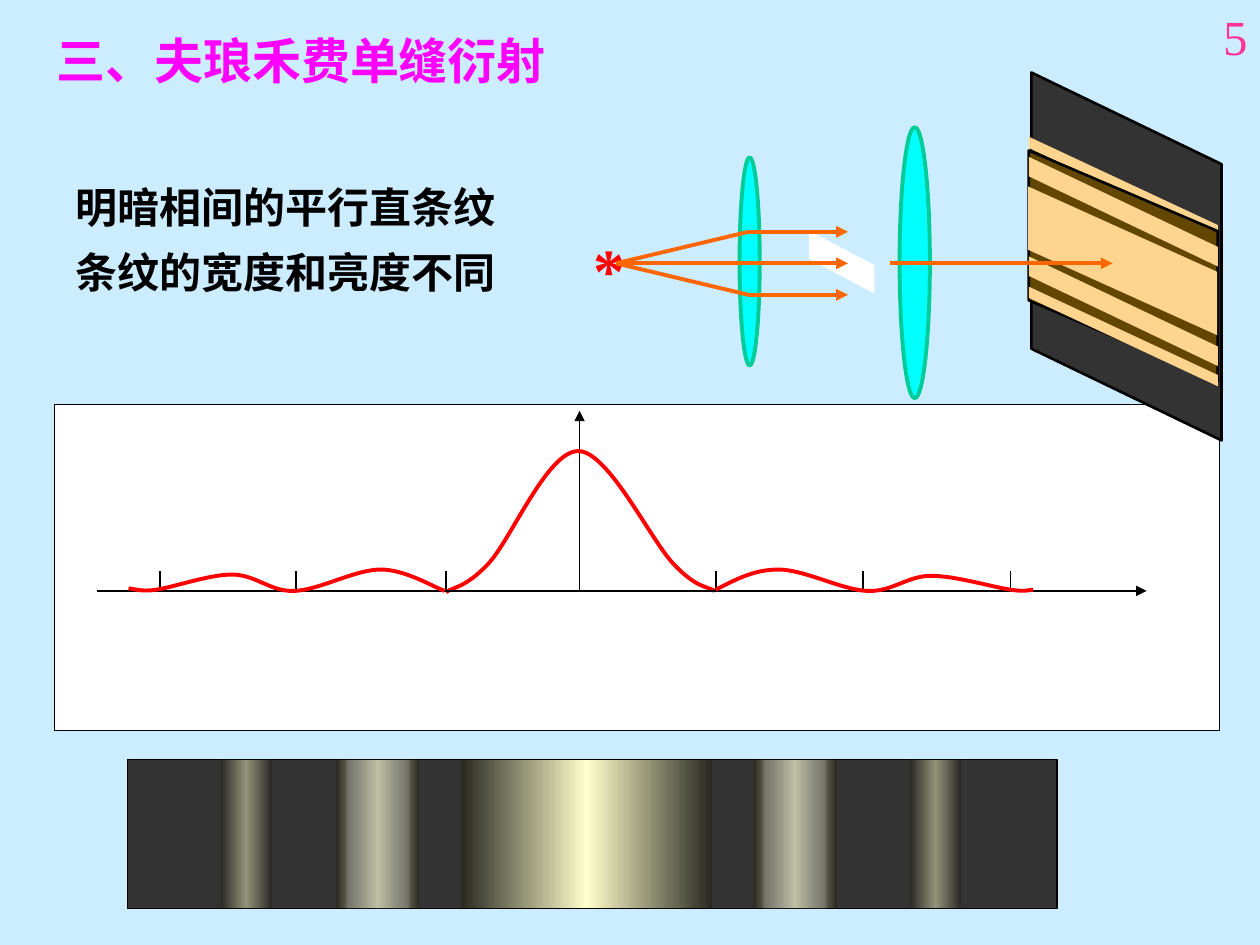
"""Build the slide on Fraunhofer single-slit diffraction."""
from copy import deepcopy
from dataclasses import dataclass

from lxml import etree
from pptx import Presentation
from pptx import util as u
from pptx.dml.color import RGBColor
from pptx.enum import shapes, text
from pptx.oxml.ns import qn

COLORS = {
    "sky": "CCECFF", "pink": "FF3399", "magenta": "FF00FF", "red": "FF0000",
    "black": "000000", "white": "FFFFFF", "slate": "333333", "shade": "292921",
    "glow": "FFFFCC", "dim": "292929", "gray": "808080", "sand": "FFD48F",
    "brown": "634701", "cyan": "00FFFF", "teal": "00CC99", "orange": "FF6600",
}
FONT = "Times New Roman"
KIND = shapes.MSO_SHAPE
AXIS_Y = 4.69
BAND_TOP, BAND_HEIGHT = 6.03, 1.18
SOURCE = (4.89, 2.09)


@dataclass
class Figure:
    kind: KIND
    left: float
    top: float
    width: float
    height: float
    fill: str
    line: str | None = None
    weight: float = 0.75
    adjust: float | None = None
    alpha: int | None = None
    glow: str | None = None


@dataclass
class Segment:
    start: tuple[float, float]
    end: tuple[float, float]
    color: str = "black"
    weight: float = 1
    arrow: bool = False


def rgb(name: str) -> RGBColor:
    return RGBColor.from_string(COLORS[name])


def draw_figure(page, figure: Figure) -> None:
    frame = (figure.left, figure.top, figure.width, figure.height)
    shape = page.shapes.add_shape(figure.kind, *map(u.Inches, frame))
    shape.shadow.inherit = False
    if figure.adjust is not None:
        shape.rotation = 90
        shape.adjustments[0] = figure.adjust
    if figure.glow:
        fill_gradient(shape, figure.fill, figure.glow)
    else:
        shape.fill.solid()
        shape.fill.fore_color.rgb = rgb(figure.fill)
    if figure.alpha is not None:
        color = shape.fill._xPr.find(qn("a:solidFill"))[0]
        etree.SubElement(color, qn("a:alpha"), val=str(figure.alpha * 1000))
    if figure.line:
        shape.line.color.rgb = rgb(figure.line)
        shape.line.width = u.Pt(figure.weight)
    else:
        shape.line.fill.background()


def fill_gradient(shape, edge: str, middle: str) -> None:
    shape.fill.gradient()
    shape.fill.gradient_angle = 0
    stops = shape._element.spPr.find(qn("a:gradFill")).find(qn("a:gsLst"))
    stops.append(deepcopy(stops[0]))
    for stop, position, color in zip(
        shape.fill.gradient_stops, (0, 0.5, 1), (edge, middle, edge)
    ):
        stop.position = position
        stop.color.rgb = rgb(color)


def draw_segment(page, segment: Segment) -> None:
    ends = map(u.Inches, (*segment.start, *segment.end))
    line = page.shapes.add_connector(shapes.MSO_CONNECTOR.STRAIGHT, *ends)
    line.line.color.rgb = rgb(segment.color)
    line.line.width = u.Pt(segment.weight)
    if segment.arrow:
        etree.SubElement(line.line._get_or_add_ln(), qn("a:tailEnd"), type="triangle")
    etree.SubElement(line._element.spPr, qn("a:effectLst"))


def draw_curve(page, points: list[tuple[float, float]]) -> None:
    """Draw a Bezier curve from its start and triples of control points."""
    start, *rest = [(u.Inches(x), u.Inches(y)) for x, y in points]
    builder = page.shapes.build_freeform(*start)
    builder.add_line_segments(rest, close=False)
    curve = builder.convert_to_shape()
    curve.shadow.inherit = False
    curve.fill.background()
    curve.line.color.rgb = rgb("red")
    curve.line.width = u.Pt(2.25)
    path = next(curve._element.iter(qn("a:path")))
    lines = path.findall(qn("a:lnTo"))
    for first in range(0, len(lines), 3):
        bezier = etree.SubElement(path, qn("a:cubicBezTo"))
        for line in lines[first:first + 3]:
            bezier.append(line[0])
            path.remove(line)


def write(page, words: str, left: float, top: float, width: float, height: float,
          *, size: float, color: str, bold: bool = True, spacing: float | None = None,
          align=text.PP_ALIGN.LEFT) -> None:
    box = page.shapes.add_textbox(*map(u.Inches, (left, top, width, height)))
    box.text_frame.word_wrap = True
    box.text_frame.text = words
    for para in box.text_frame.paragraphs:
        para.alignment = align
        if spacing:
            para.line_spacing = spacing
        for span in para.runs:
            span.font.name = FONT
            span.font.size = u.Pt(size)
            span.font.bold = bold
            span.font.color.rgb = rgb(color)


def draw_intensity(page) -> None:
    draw_figure(page, Figure(KIND.RECTANGLE, 0.43, 3.21, 9.25, 2.59, "white", "black"))
    draw_segment(page, Segment((4.6, AXIS_Y), (4.6, 3.26), arrow=True))
    for x in (1.27, 2.35, 3.54, 5.68, 6.85, 8.02):
        draw_segment(page, Segment((x, 4.53), (x, AXIS_Y)))
    draw_curve(page, [
        (3.54, 4.7), (3.59, 4.66), (3.69, 4.67), (3.87, 4.48), (4.05, 4.3),
        (4.34, 3.58), (4.59, 3.58), (4.83, 3.58), (5.17, 4.3), (5.35, 4.48),
        (5.53, 4.67), (5.61, 4.65), (5.67, 4.69)])
    draw_segment(page, Segment((0.77, AXIS_Y), (9.1, AXIS_Y), arrow=True))
    draw_curve(page, [
        (5.68, 4.68), (5.84, 4.6), (5.98, 4.52), (6.18, 4.52), (6.38, 4.52),
        (6.68, 4.68), (6.88, 4.69), (7.08, 4.7), (7.2, 4.57), (7.39, 4.57),
        (7.58, 4.57), (7.88, 4.66), (8.02, 4.68), (8.15, 4.7), (8.16, 4.68),
        (8.2, 4.68)])
    draw_curve(page, [
        (3.53, 4.69), (3.44, 4.66), (3.22, 4.52), (3.02, 4.52), (2.82, 4.52),
        (2.54, 4.68), (2.34, 4.69), (2.15, 4.7), (2.03, 4.56), (1.84, 4.56),
        (1.66, 4.56), (1.38, 4.66), (1.24, 4.68), (1.11, 4.7), (1.06, 4.67),
        (1.02, 4.67)])


def draw_fringes(page) -> None:
    def band(left: float, width: float, fill: str, **style) -> None:
        draw_figure(page, Figure(
            KIND.RECTANGLE, left, BAND_TOP, width, BAND_HEIGHT, fill, **style))

    band(1.01, 7.38, "slate", line="black")
    for left, width in ((3.66, 1.99), (5.98, 0.66), (2.67, 0.66), (7.22, 0.41), (1.75, 0.41)):
        band(left, width, "shade", glow="glow")
    for left, width, veil in (
        (7.22, 0.41, "dim"), (1.75, 0.41, "dim"), (2.75, 0.5, "gray"), (6.06, 0.5, "gray")
    ):
        band(left, width, veil, alpha=50)


def draw_apparatus(page) -> None:
    def slanted(*frame: float, adjust: float, fill: str, line: str | None = None) -> None:
        draw_figure(page, Figure(
            KIND.PARALLELOGRAM, *frame, fill, line, 1.5, adjust))

    slanted(7.48, 1.28, 2.92, 1.51, adjust=0.482, fill="slate", line="black")
    slanted(6.43, 1.82, 0.5, 0.52, adjust=0.549, fill="white")
    write(page, "*", 4.61, 1.78, 0.47, 0.7, size=36, color="red")
    slanted(8.52, 0.73, 0.79, 1.5, adjust=0.887, fill="sand")
    slanted(8, 1.36, 1.83, 1.5, adjust=0.427, fill="brown", line="black")
    for left, top, length, adjust in (
        (8.32, 1.32, 1.18, 0.574), (8.48, 1.72, 0.87, 0.822),
        (8.48, 0.93, 0.87, 0.822), (8.52, 1.92, 0.79, 0.887),
    ):
        slanted(left, top, length, 1.5, adjust=adjust, fill="sand")
    for lens in ((5.87, 1.25, 0.16, 1.65), (7.14, 1.01, 0.24, 2.15)):
        draw_figure(page, Figure(KIND.OVAL, *lens, "cyan", "teal", 2.25))
    for y in (1.84, 2.34):
        draw_segment(page, Segment(SOURCE, (5.94, y), "orange", 2.25))
    for start, end_x in (((5.94, 2.34), 6.73), ((5.94, 1.84), 6.73),
                         ((7.06, 2.09), 8.83), (SOURCE, 6.73)):
        draw_segment(page, Segment(start, (end_x, start[1]), "orange", 2.25, True))


def main() -> None:
    deck = Presentation()
    deck.slide_width, deck.slide_height = u.Inches(10), u.Inches(7.5)
    page = deck.slides.add_slide(deck.slide_layouts[6])
    page.background.fill.solid()
    page.background.fill.fore_color.rgb = rgb("sky")
    write(page, "5", 7.92, 0, 2.08, 0.5, size=28, color="pink", bold=False,
          align=text.PP_ALIGN.RIGHT)
    draw_intensity(page)
    draw_fringes(page)
    write(page, "三、夫琅禾费单缝衍射", 0.35, 0.19, 5.92, 0.57, size=28, color="magenta")
    write(page, "明暗相间的平行直条纹\n条纹的宽度和亮度不同", 0.5, 1.27, 3.79, 1.14,
          size=24, color="black", spacing=1.3)
    draw_apparatus(page)
    deck.save("out.pptx")


if __name__ == "__main__":
    main()
